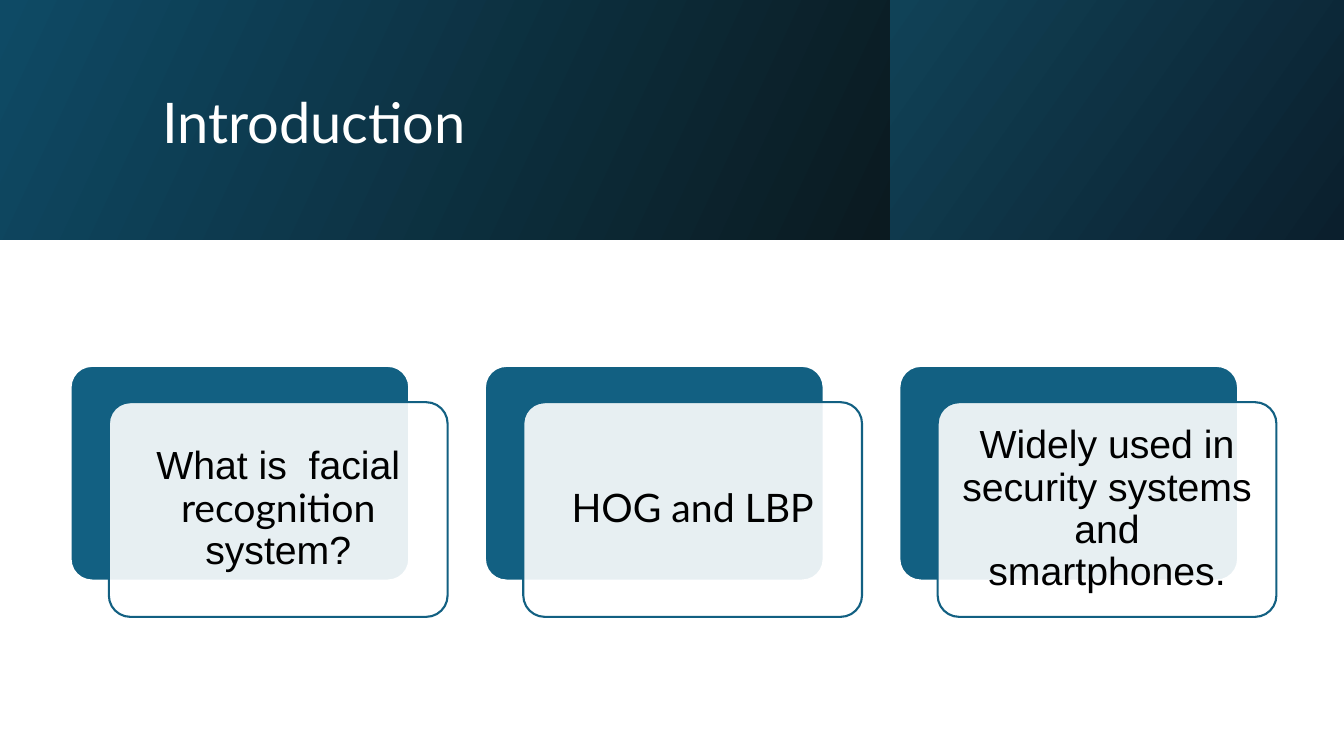
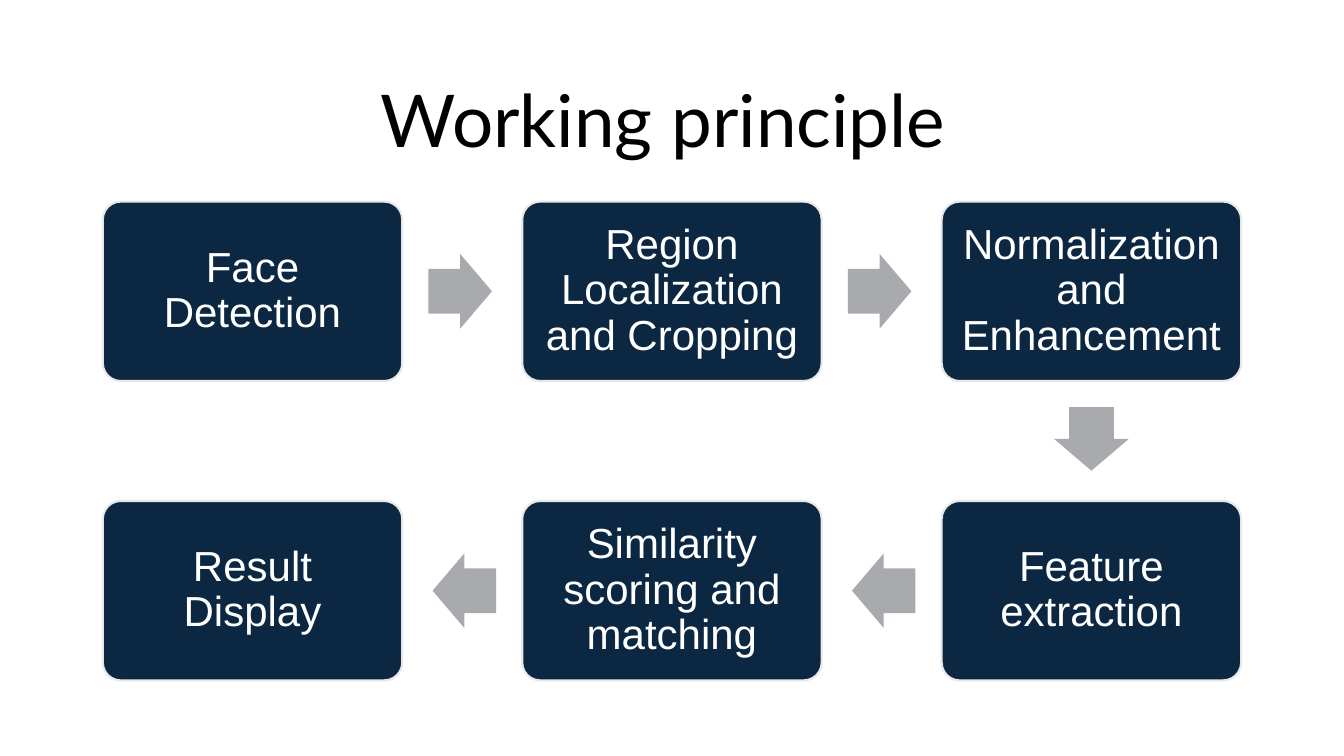
"""Build two slides on facial recognition: an introduction and its working principle."""
from dataclasses import dataclass
from itertools import pairwise
from math import atan2, degrees

from lxml.etree import SubElement
from pptx import Presentation
from pptx.dml.color import RGBColor
from pptx.enum.shapes import MSO_SHAPE
from pptx.enum.text import MSO_ANCHOR, PP_ALIGN
from pptx.oxml.ns import qn
from pptx.util import Inches, Pt

COLORS = {
    "white": "FFFFFF", "black": "000000", "teal": "126082", "navy": "0B2741",
    "pale": "E8E8E8", "gray": "A8AAAE", "band_blue": "0E4A65", "band_dark": "0B1A20",
    "panel_blue": "104257", "panel_dark": "0B1F2D",
}
HEADING_FONT, BODY_FONT = "Lato", "Arial"


@dataclass(frozen=True)
class Box:
    """A rectangle measured in inches."""
    left: float
    top: float
    width: float
    height: float

    def lengths(self) -> tuple:
        return tuple(Inches(n) for n in (self.left, self.top, self.width, self.height))


@dataclass(frozen=True)
class Span:
    """A piece of text in one font."""
    text: str
    font: str = BODY_FONT


@dataclass(frozen=True)
class Step:
    """A stage of the process and its cell in the grid."""
    text: str
    column: int
    row: int

    def box(self) -> Box:
        return Box(1.02 + 4.16 * self.column, 2 + 2.97 * self.row, 2.97, 1.78)

    def center(self) -> tuple[float, float]:
        box = self.box()
        return box.left + box.width / 2, box.top + box.height / 2


CARDS = (
    (Span("What is  facial "), Span("recognition", HEADING_FONT), Span(" system?")),
    (Span("HOG and LBP", HEADING_FONT),),
    (Span("Widely used in security systems and smartphones."),),
)
STEPS = (
    Step("Face Detection", 0, 0),
    Step("Region Localization and Cropping", 1, 0),
    Step("Normalization and Enhancement", 2, 0),
    Step("Feature extraction", 2, 1),
    Step("Similarity scoring and matching", 1, 1),
    Step("Result Display", 0, 1),
)


def color(name: str) -> RGBColor:
    return RGBColor.from_string(COLORS[name])


def write_text(shape, spans, *, size: float, ink: str, align=PP_ALIGN.CENTER,
               inset: tuple[float, float] = (0.12, 0.12)) -> None:
    """Write one vertically centred paragraph into a shape."""
    frame = shape.text_frame
    frame.word_wrap = True
    frame.vertical_anchor = MSO_ANCHOR.MIDDLE
    frame.margin_left = frame.margin_right = Inches(inset[0])
    frame.margin_top = frame.margin_bottom = Inches(inset[1])
    para = frame.paragraphs[0]
    para.alignment, para.line_spacing = align, 0.9
    for span in spans:
        run = para.add_run()
        run.text = span.text
        run.font.name, run.font.size = span.font, Pt(size)
        run.font.color.rgb = color(ink)


def add_title(page, text: str, box: Box, *, size: float, ink: str, align) -> None:
    title = page.shapes.add_textbox(*box.lengths())
    write_text(title, [Span(text, HEADING_FONT)], size=size, ink=ink, align=align,
               inset=(0.1, 0.05))


def add_block(page, kind, box: Box, *, fill: str, line: str | None = None,
              opacity: int = 100):
    """Draw a solid preset shape, outlined if a line colour is given."""
    block = page.shapes.add_shape(kind, *box.lengths())
    block.shadow.inherit = False
    block.fill.solid()
    block.fill.fore_color.rgb = color(fill)
    if opacity < 100:
        solid = block.fill._xPr.find(qn("a:solidFill"))
        SubElement(solid[0], qn("a:alpha"), val=str(opacity * 1000))
    if line:
        block.line.color.rgb = color(line)
        block.line.width = Pt(1.5)
    else:
        block.line.fill.background()
    if kind == MSO_SHAPE.ROUNDED_RECTANGLE:
        block.adjustments[0] = 0.1
    return block


def add_gradient(page, box: Box, start: str, end: str, angle: float) -> None:
    band = add_block(page, MSO_SHAPE.RECTANGLE, box, fill=start)
    band.fill.gradient()
    band.fill.gradient_angle = angle
    for stop, name, position in zip(band.fill.gradient_stops, (start, end), (0, 1)):
        stop.color.rgb, stop.position = color(name), position


def add_arrow(page, source: Step, target: Step) -> None:
    """Point an arrow from one step to the next, set slightly back from mid-gap."""
    (x1, y1), (x2, y2) = source.center(), target.center()
    across, down = target.column - source.column, target.row - source.row
    width, height, setback = 0.63, 0.74, 0.02
    box = Box((x1 + x2 - width) / 2 - setback * across,
              (y1 + y2 - height) / 2 - setback * down, width, height)
    arrow = add_block(page, MSO_SHAPE.RIGHT_ARROW, box, fill="gray")
    arrow.adjustments[0], arrow.adjustments[1] = 0.6, 0.5
    arrow.rotation = degrees(atan2(down, across))


def build_introduction(page) -> None:
    add_gradient(page, Box(0, 0, 8.83, 2.38), "band_blue", "band_dark", 335)
    add_gradient(page, Box(8.83, 0, 4.5, 2.38), "panel_blue", "panel_dark", 325)
    add_title(page, "Introduction", Box(1.51, 0.38, 10.63, 1.72), size=40, ink="white",
              align=PP_ALIGN.LEFT)
    for index, spans in enumerate(CARDS):
        left = 0.7 + 4.11 * index
        add_block(page, MSO_SHAPE.ROUNDED_RECTANGLE, Box(left, 3.63, 3.36, 2.13),
                  fill="teal", line="white")
        card = add_block(page, MSO_SHAPE.ROUNDED_RECTANGLE,
                         Box(left + 0.38, 3.99, 3.36, 2.13),
                         fill="white", line="teal", opacity=90)
        write_text(card, spans, size=28, ink="black")


def build_working_principle(page) -> None:
    add_title(page, "Working principle ", Box(0.92, 0.61, 11.5, 1.24), size=52,
              ink="black", align=PP_ALIGN.CENTER)
    for step in STEPS:
        block = add_block(page, MSO_SHAPE.ROUNDED_RECTANGLE, step.box(),
                          fill="navy", line="pale")
        write_text(block, [Span(step.text)], size=30, ink="white")
    for source, target in pairwise(STEPS):
        add_arrow(page, source, target)


def main() -> None:
    deck = Presentation()
    deck.slide_width, deck.slide_height = Inches(13.33), Inches(7.5)
    for build in (build_introduction, build_working_principle):
        build(deck.slides.add_slide(deck.slide_layouts[6]))
    deck.save("out.pptx")


if __name__ == "__main__":
    main()
